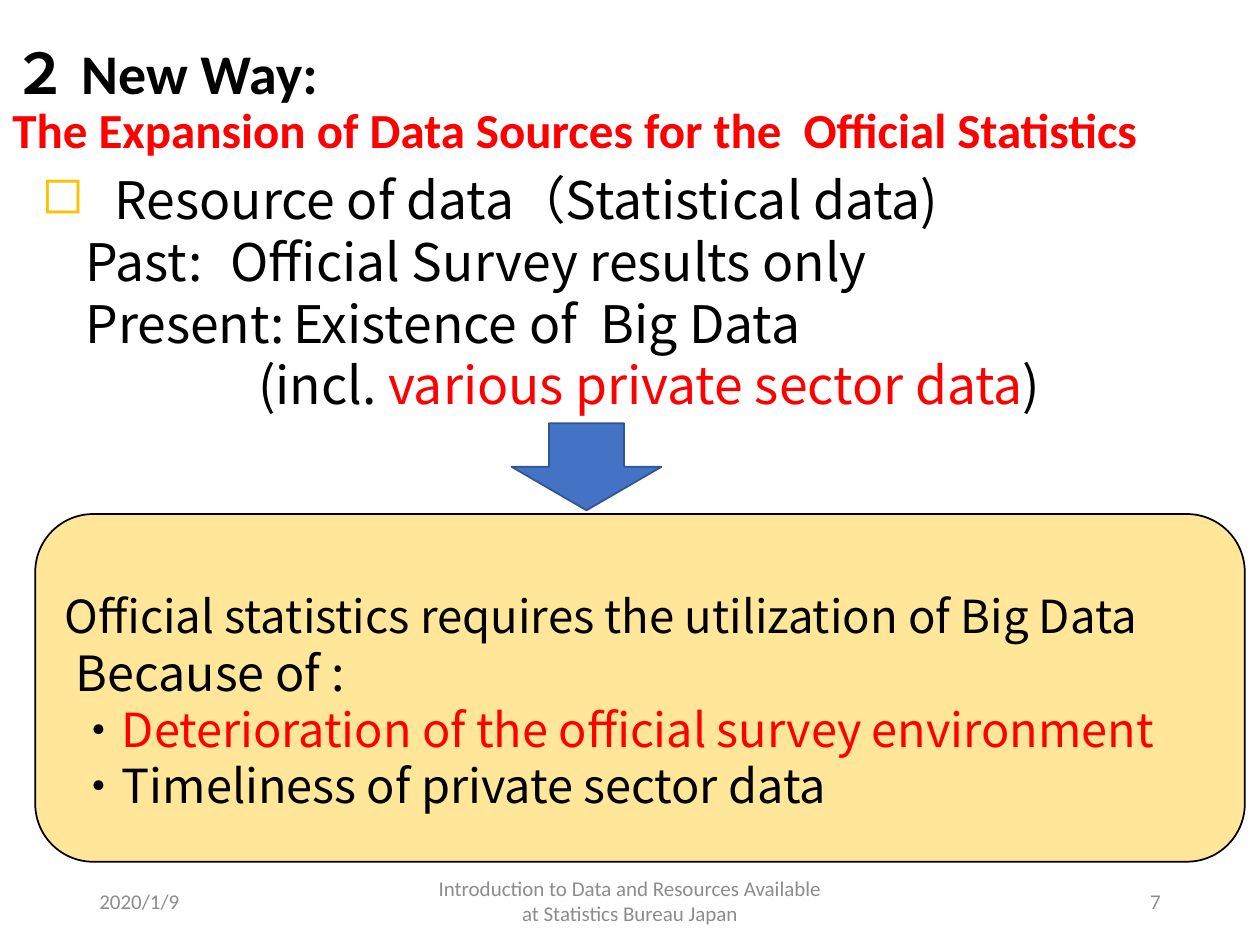
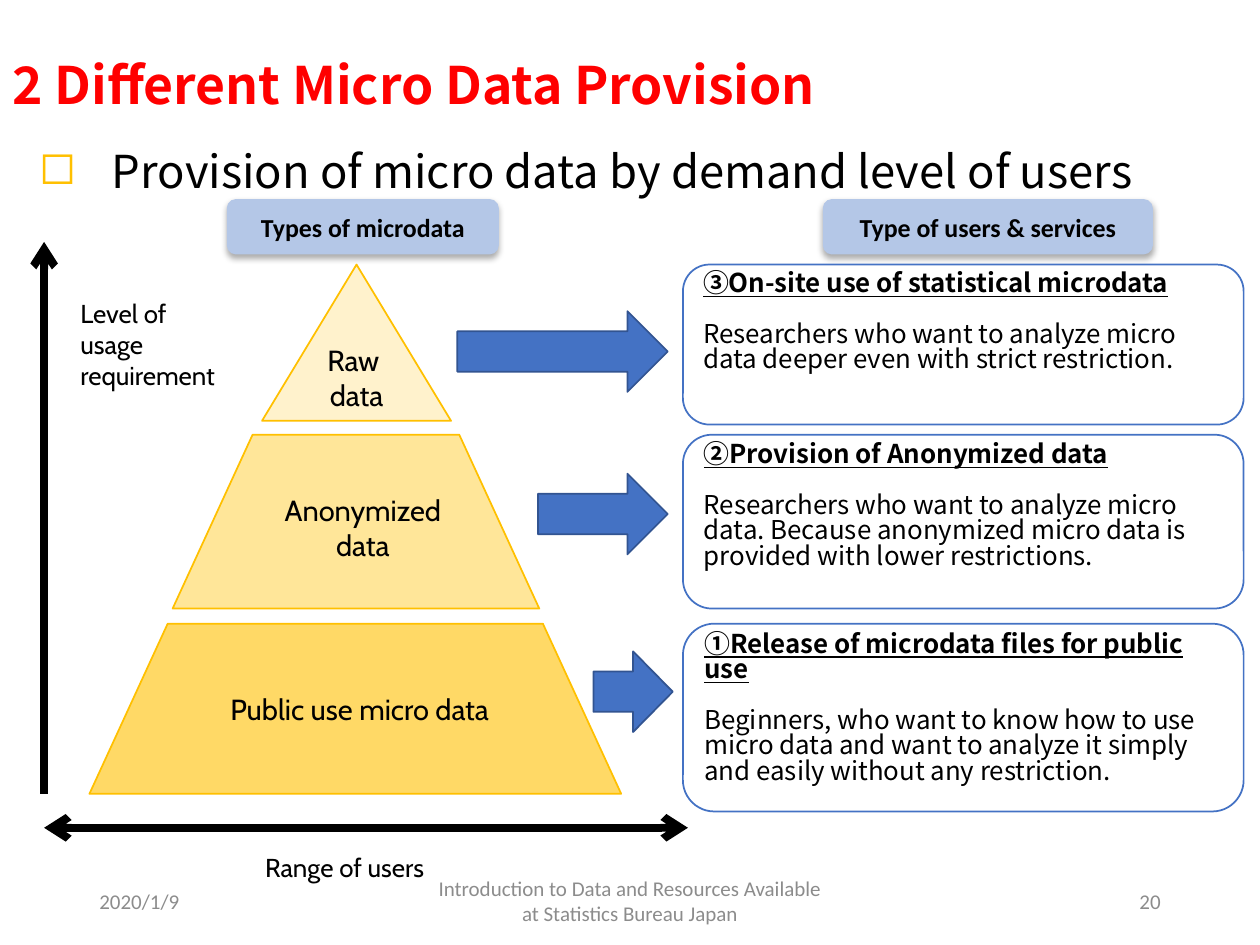
from lxml.etree import SubElement
from pptx import Presentation
from pptx.dml.color import RGBColor
from pptx.enum.shapes import MSO_CONNECTOR, MSO_SHAPE
from pptx.enum.text import MSO_ANCHOR, PP_ALIGN
from pptx.oxml.ns import qn
from pptx.util import Inches, Pt

BLACK = RGBColor(0x00, 0x00, 0x00)
WHITE = RGBColor(0xFF, 0xFF, 0xFF)
RED = RGBColor(0xFF, 0x00, 0x00)
GRAY = RGBColor(0x8C, 0x8C, 0x8C)
BLUE = RGBColor(0x44, 0x72, 0xC4)
DARK_BLUE = RGBColor(0x32, 0x54, 0x91)
PALE_BLUE = RGBColor(0xB4, 0xC7, 0xE7)
GOLD = RGBColor(0xFF, 0xC0, 0x00)
DEEP_YELLOW = RGBColor(0xFF, 0xD9, 0x66)
YELLOW = RGBColor(0xFF, 0xE6, 0x99)
PALE_YELLOW = RGBColor(0xFF, 0xF2, 0xCC)

CALIBRI, CABIN, NOTO = "Calibri", "Cabin", "Noto Sans CJK JP"
NOTO_LEADING = 1.2
CARD_LEADING = Pt(14.5)
FOOTER_TOP, FOOTER_HEIGHT = 6.95, 0.4


class SlideBuilder:
    """Holds the shared style and draws on the current slide."""

    def __init__(self):
        self.presentation = Presentation()
        self.presentation.slide_width = Inches(10)
        self.presentation.slide_height = Inches(7.5)
        self.slide = None

    def new_slide(self, number):
        layout = self.presentation.slide_layouts[6]
        self.slide = self.presentation.slides.add_slide(layout)
        footers = [
            ("2020/1/9", 0.69, 2.25, PP_ALIGN.LEFT),
            ("Introduction to Data and Resources Available at Statistics Bureau Japan",
             3.31, 3.38, PP_ALIGN.CENTER),
            (str(number), 7.06, 2.25, PP_ALIGN.RIGHT),
        ]
        for text, left, width, align in footers:
            frame = self.text_box(left, FOOTER_TOP, width, FOOTER_HEIGHT, MSO_ANCHOR.MIDDLE)
            self.run(self.paragraph(frame, align), text, 12, CALIBRI, GRAY)

    def text_box(self, left, top, width, height, anchor=MSO_ANCHOR.TOP):
        box = self.slide.shapes.add_textbox(
            Inches(left), Inches(top), Inches(width), Inches(height))
        frame = box.text_frame
        frame.word_wrap = True
        frame.vertical_anchor = anchor
        return frame

    def paragraph(self, frame, align=PP_ALIGN.LEFT, spacing=None):
        """Return the frame's unused first paragraph, or a new one."""
        paragraph = frame.paragraphs[0]
        if paragraph.runs:
            paragraph = frame.add_paragraph()
        paragraph.alignment = align
        if spacing is not None:
            paragraph.line_spacing = spacing
        return paragraph

    def run(self, paragraph, text, size, font, color=BLACK, bold=False, underline=False):
        run = paragraph.add_run()
        run.text = text
        run.font.size = Pt(size)
        run.font.bold = bold
        run.font.underline = underline
        run.font.color.rgb = color
        run.font.name = font
        SubElement(run.font._element, qn("a:ea"), typeface=NOTO)

    def noto_line(self, frame, size, *parts):
        """Add one line made of (text, color) parts."""
        paragraph = self.paragraph(frame, spacing=Pt(size * NOTO_LEADING))
        for text, color in parts:
            self.run(paragraph, text, size, NOTO, color)
        return paragraph

    def label(self, left, top, width, height, lines, size, align=PP_ALIGN.CENTER):
        frame = self.text_box(left, top, width, height)
        for line in lines:
            self.run(self.paragraph(frame, align), line, size, CABIN)

    def bullet(self, paragraph):
        properties = paragraph._p.get_or_add_pPr()
        properties.set("marL", str(Inches(0.58)))
        properties.set("indent", str(Inches(-0.58)))
        bullet_color = SubElement(properties, qn("a:buClr"))
        SubElement(bullet_color, qn("a:srgbClr"), val=str(GOLD))
        SubElement(properties, qn("a:buChar"), char="◻")

    def indent(self, paragraph, first_line, tab=None):
        properties = paragraph._p.get_or_add_pPr()
        properties.set("marL", "0")
        properties.set("indent", str(Inches(first_line)))
        if tab:
            tabs = SubElement(properties, qn("a:tabLst"))
            SubElement(tabs, qn("a:tab"), pos=str(Inches(tab)), algn="l")

    def shape(self, kind, left, top, width, height, fill, line=None):
        shape = self.slide.shapes.add_shape(
            kind, Inches(left), Inches(top), Inches(width), Inches(height))
        shape.shadow.inherit = False
        shape.fill.solid()
        shape.fill.fore_color.rgb = fill
        if line is None:
            shape.line.fill.background()
        else:
            shape.line.color.rgb = line
            shape.line.width = Pt(1)
        return shape

    def text_panel(self, left, top, width, height, fill, line, anchor, top_inset=0):
        panel = self.shape(MSO_SHAPE.ROUNDED_RECTANGLE, left, top, width, height, fill, line)
        frame = panel.text_frame
        frame.vertical_anchor = anchor
        frame.margin_top = Pt(top_inset)
        frame.margin_bottom = 0
        return frame

    def card(self, top, height, heading, body):
        frame = self.text_panel(5.42, top, 4.45, height, WHITE, BLUE, MSO_ANCHOR.TOP)
        paragraph = self.paragraph(frame, spacing=CARD_LEADING)
        paragraph.space_after = CARD_LEADING
        self.run(paragraph, heading, 14.8, NOTO, bold=True, underline=True)
        self.run(self.paragraph(frame, spacing=CARD_LEADING), body, 14.8, NOTO)

    def column_header(self, left, width, text):
        header = self.shape(MSO_SHAPE.ROUNDED_RECTANGLE, left, 1.58, width, 0.44, PALE_BLUE)
        effects = header._element.spPr.find(qn("a:effectLst"))
        shadow = SubElement(effects, qn("a:outerShdw"), blurRad=str(Pt(3.5)),
                            dist=str(Pt(2.2)), dir="5400000", algn="t", rotWithShape="0")
        color = SubElement(shadow, qn("a:srgbClr"), val=str(BLACK))
        SubElement(color, qn("a:alpha"), val="32000")
        frame = header.text_frame
        frame.vertical_anchor = MSO_ANCHOR.MIDDLE
        self.run(self.paragraph(frame, PP_ALIGN.CENTER), text, 14.8, CALIBRI, bold=True)

    def axis(self, start, end, heads):
        points = [Inches(value) for value in start + end]
        connector = self.slide.shapes.add_connector(MSO_CONNECTOR.STRAIGHT, *points)
        connector.line.color.rgb = BLACK
        connector.line.width = Pt(4.5)
        line = connector.line._get_or_add_ln()
        for head in heads:
            SubElement(line, qn("a:" + head), type="arrow")
        SubElement(connector._element.spPr, qn("a:effectLst"))


def build_data_sources(builder):
    builder.new_slide(7)
    frame = builder.text_box(0, 0.46, 9.8, 0.71, MSO_ANCHOR.MIDDLE)
    title = builder.paragraph(frame, spacing=0.9)
    builder.run(title, "２ New Way: ", 32, CALIBRI, bold=True)
    title.add_line_break()
    builder.run(title, "The Expansion of Data Sources for the  Official Statistics",
                28, CALIBRI, RED, bold=True)

    frame = builder.text_box(0.23, 1.28, 9.77, 2.09)
    builder.bullet(builder.noto_line(
        frame, 29.5, ("Resource of data（Statistical data)", BLACK)))
    past = builder.noto_line(frame, 29.5, ("Past:\tOfficial Survey results only", BLACK))
    builder.indent(past, 0.35, 1.92)
    present = builder.noto_line(frame, 29.5, ("Present:\tExistence of  Big Data", BLACK))
    builder.indent(present, 0.35, 2.2)
    included = builder.noto_line(frame, 29.5, ("(incl. ", BLACK),
                                 ("various private sector data", RED), (")", BLACK))
    builder.indent(included, 1.72)

    builder.shape(MSO_SHAPE.DOWN_ARROW, 4.06, 3.36, 1.19, 0.69, BLUE, DARK_BLUE)

    frame = builder.text_panel(0.28, 4.08, 9.6, 2.76, YELLOW, BLACK,
                               MSO_ANCHOR.MIDDLE, top_inset=14.5)
    builder.noto_line(
        frame, 26, ("Official statistics requires the utilization of Big Data", BLACK))
    builder.noto_line(frame, 27.7, (" Because of :", BLACK))
    builder.noto_line(frame, 26.8, (" ・", BLACK),
                      ("Deterioration of the official survey environment", RED))
    builder.noto_line(frame, 26.8, (" ・Timeliness of private sector data", BLACK))


def build_micro_data(builder):
    builder.new_slide(20)
    frame = builder.text_box(0, 0.37, 7.22, 0.6)
    title = builder.paragraph(frame, spacing=Pt(29.5 * NOTO_LEADING))
    builder.run(title, "2 Different Micro Data Provision", 29.5, NOTO, RED, bold=True)
    frame = builder.text_box(0.21, 1.09, 9.77, 0.54)
    builder.bullet(builder.noto_line(
        frame, 25.9, ("Provision of micro data by demand level of users", BLACK)))

    builder.column_header(1.8, 2.16, "Types of microdata")
    builder.column_header(6.53, 2.62, "Type of users & services")

    tiers = [
        (MSO_SHAPE.ISOSCELES_TRIANGLE, 2.08, 2.1, 1.5, 1.24, PALE_YELLOW),
        (MSO_SHAPE.TRAPEZOID, 1.37, 3.45, 2.91, 1.38, YELLOW),
        (MSO_SHAPE.TRAPEZOID, 0.71, 4.95, 4.22, 1.35, DEEP_YELLOW),
    ]
    for kind, left, top, width, height, fill in tiers:
        tier = builder.shape(kind, left, top, width, height, fill, GOLD)
        if kind == MSO_SHAPE.TRAPEZOID:
            tier.adjustments[0] = 0.46

    builder.label(2.03, 2.67, 1.6, 0.66, ["Raw ", "data"], 16.6)
    builder.label(2.08, 3.86, 1.6, 0.66, ["Anonymized data"], 16.6)
    builder.label(1.73, 5.44, 2.54, 0.38, ["Public use micro data"], 16.6, PP_ALIGN.LEFT)

    for left, top, width in [(3.63, 2.47, 1.67), (4.27, 3.76, 1.03), (4.71, 5.17, 0.63)]:
        builder.shape(MSO_SHAPE.RIGHT_ARROW, left, top, width, 0.64, BLUE, DARK_BLUE)

    builder.axis((0.35, 6.57), (5.46, 6.57), ["headEnd", "tailEnd"])
    builder.axis((0.35, 6.3), (0.35, 1.92), ["tailEnd"])
    builder.label(0.54, 2.31, 1.57, 0.95, ["Level of", "usage", "requirement"],
                  14.8, PP_ALIGN.LEFT)
    builder.label(0.54, 6.71, 4.39, 0.35, ["Range of users"], 14.8)

    builder.card(2.1, 1.27, "③On-site use of statistical microdata",
                 "Researchers who want to analyze micro data deeper even with "
                 "strict restriction.")
    builder.card(3.45, 1.38, "②Provision of Anonymized data",
                 "Researchers who want to analyze micro data. Because anonymized "
                 "micro data is provided with lower restrictions.")
    builder.card(4.95, 1.49, "①Release of microdata files for public use",
                 "Beginners, who want to know how to use micro data and want to "
                 "analyze it simply and easily without any restriction.")


def main():
    builder = SlideBuilder()
    build_data_sources(builder)
    build_micro_data(builder)
    builder.presentation.save("out.pptx")


if __name__ == "__main__":
    main()
